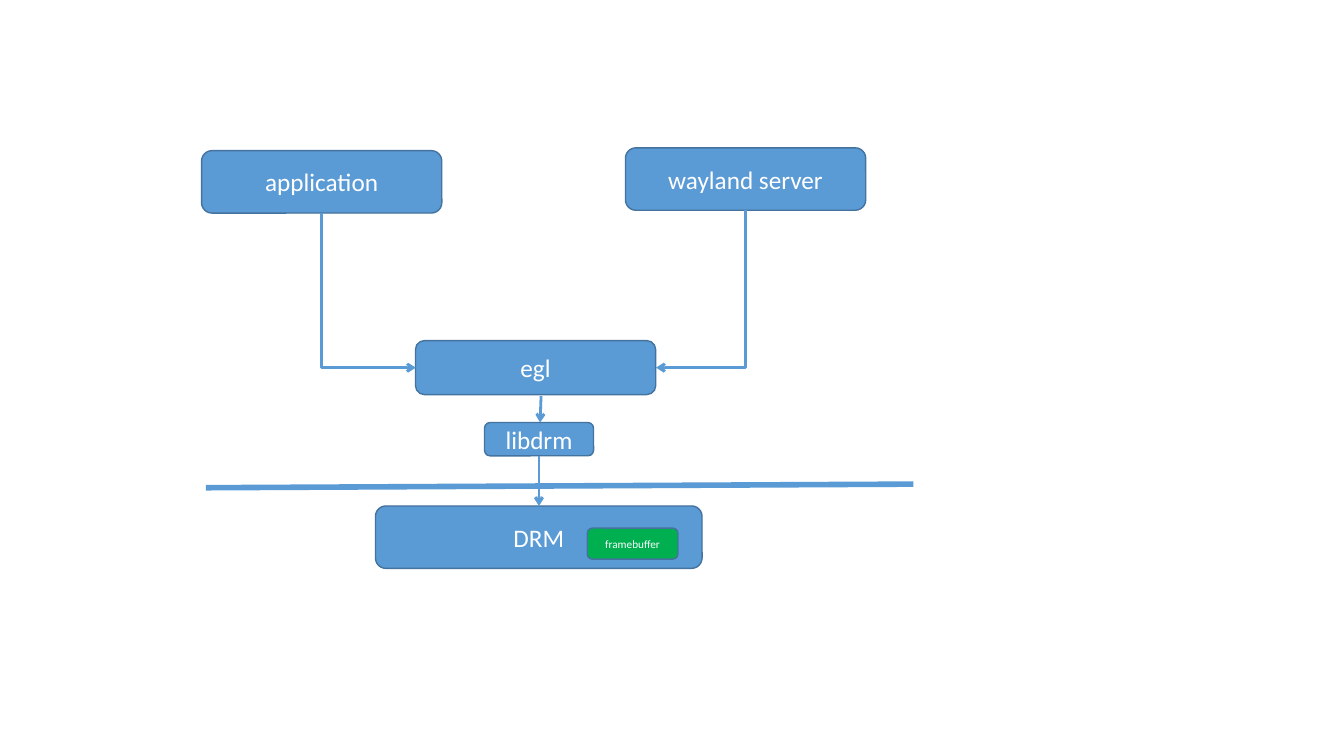
"""Build the slide showing how an application and a wayland server reach DRM."""
from lxml.etree import SubElement
from pptx import Presentation
from pptx.dml.color import RGBColor
from pptx.enum.shapes import MSO_CONNECTOR, MSO_SHAPE
from pptx.enum.text import MSO_ANCHOR, PP_ALIGN
from pptx.oxml.ns import qn
from pptx.util import Pt

BLUE = RGBColor(0x5B, 0x9B, 0xD5)
DARK_BLUE = RGBColor(0x43, 0x73, 0x9E)
GREEN = RGBColor(0x00, 0xB0, 0x50)
WHITE = RGBColor(0xFF, 0xFF, 0xFF)


class StackDiagram:
    """Draws boxes and links of one style on one slide."""

    font_name = "Calibri"

    def __init__(self, slide):
        """Keep the slide to draw on."""
        self.shapes = slide.shapes

    def box(self, label, left, top, width, height, fill=BLUE, size=18):
        """Add a rounded box with a centred label."""
        box = self.shapes.add_shape(
            MSO_SHAPE.ROUNDED_RECTANGLE, Pt(left), Pt(top), Pt(width), Pt(height))
        box.shadow.inherit = False
        box.fill.solid()
        box.fill.fore_color.rgb = fill
        box.line.color.rgb = DARK_BLUE
        box.line.width = Pt(1)
        frame = box.text_frame
        frame.word_wrap = True
        frame.vertical_anchor = MSO_ANCHOR.MIDDLE
        paragraph = frame.paragraphs[0]
        paragraph.text = label
        paragraph.alignment = PP_ALIGN.CENTER
        paragraph.font.name = self.font_name
        paragraph.font.size = Pt(size)
        paragraph.font.color.rgb = WHITE

    def line(self, start, end, width=2, arrow=False, kind=MSO_CONNECTOR.STRAIGHT):
        """Add a connector, with an arrowhead at its end if asked."""
        link = self.shapes.add_connector(kind, *map(Pt, (*start, *end)))
        link.line.color.rgb = BLUE
        link.line.width = Pt(width)
        properties = link._element.spPr
        if arrow:
            SubElement(properties.find(qn("a:ln")), qn("a:tailEnd"), type="arrow")
        SubElement(properties, qn("a:effectLst"))
        return link

    def elbow(self, start, end):
        """Add an arrow that goes down first and then sideways."""
        (x1, y1), (x2, y2) = start, end
        center_x, center_y = (x1 + x2) / 2, (y1 + y2) / 2
        half_drop, half_run = (y2 - y1) / 2, (x2 - x1) / 2
        link = self.line(
            (center_x - half_drop, center_y + half_run),
            (center_x + half_drop, center_y - half_run),
            arrow=True, kind=MSO_CONNECTOR.ELBOW)
        properties = link._element.spPr
        properties.find(qn("a:xfrm")).set("rot", "5400000")
        properties.find(qn("a:prstGeom")).set("prst", "bentConnector2")


def main():
    """Create and save the presentation."""
    presentation = Presentation()
    presentation.slide_width = Pt(960)
    presentation.slide_height = Pt(540)
    diagram = StackDiagram(
        presentation.slides.add_slide(presentation.slide_layouts[6]))

    diagram.box("DRM", 268.2, 361.4, 233.3, 44.6)
    diagram.box("framebuffer", 419.5, 377.2, 64.8, 22.2, fill=GREEN, size=8)
    diagram.line((147, 348.4), (652.4, 345.8), width=4)
    diagram.box("egl", 296.8, 243.3, 171.6, 38.6)
    diagram.box("libdrm", 346.1, 301.8, 77.9, 23.8)
    diagram.box("application", 144, 107.6, 171.6, 44.6)
    diagram.box("wayland server", 446.8, 105.6, 171.6, 44.6)

    diagram.elbow((229.6, 152.2), (297, 262.6))
    diagram.elbow((532.6, 150.2), (468.6, 262.6))
    diagram.line((386.5, 283), (385.8, 301.8), arrow=True)
    diagram.line((385, 325.6), (385, 361.4), arrow=True)

    presentation.save("out.pptx")


if __name__ == "__main__":
    main()
